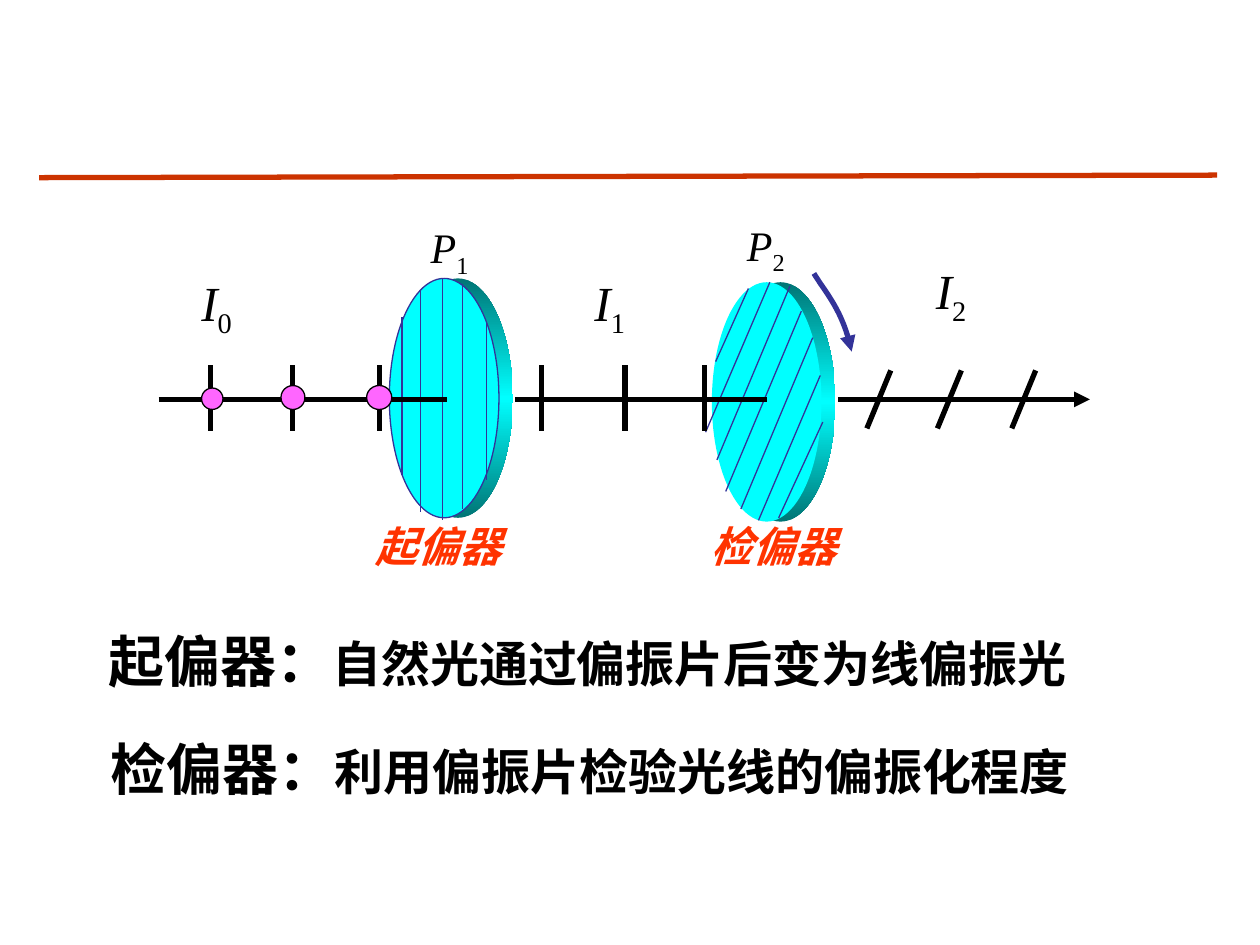
from copy import deepcopy

from lxml.etree import SubElement
from pptx import Presentation
from pptx.dml.color import RGBColor
from pptx.enum.shapes import MSO_CONNECTOR as CONNECTOR, MSO_SHAPE as SHAPE
from pptx.enum.text import MSO_AUTO_SIZE as AUTO_SIZE, PP_ALIGN as ALIGN
from pptx.oxml.ns import qn
from pptx.util import Inches, Pt

COLORS = {
    "ink": "000000", "navy": "333399", "plate": "00FFFF", "edge": "007575",
    "dot": "FF66FF", "label": "FF3300", "rule": "CC3300",
}
LATIN = "Times New Roman"
CHINESE = "TeX Gyre Bonum"
AXIS = 3.17


def color(name):
    return RGBColor.from_string(COLORS[name])


def style_line(line, name, width, arrow=False):
    line.color.rgb = color(name)
    line.width = Pt(width)
    if arrow:
        SubElement(line._get_or_add_ln(), qn("a:tailEnd"), type="triangle")


def add_line(page, start, end, name="ink", width=3, arrow=False):
    ends = [Inches(value) for value in (*start, *end)]
    connector = page.shapes.add_connector(CONNECTOR.STRAIGHT, *ends)
    style_line(connector.line, name, width, arrow)
    SubElement(connector._element.spPr, qn("a:effectLst"))


def add_ellipse(page, area, fill, outline=None):
    ellipse = page.shapes.add_shape(SHAPE.OVAL, *map(Inches, area))
    ellipse.shadow.inherit = False
    ellipse.fill.solid()
    ellipse.fill.fore_color.rgb = color(fill)
    if outline:
        style_line(ellipse.line, outline, 0.75)
    else:
        ellipse.line.fill.background()
    return ellipse


def shade_rim(ellipse):
    """Fill the rim dark at top and bottom, bright in the middle."""
    ellipse.fill.gradient()
    ellipse.fill.gradient_angle = 90
    stop_list = ellipse._element.spPr.find(qn("a:gradFill")).find(qn("a:gsLst"))
    stop_list.append(deepcopy(stop_list[0]))
    stops = zip(ellipse.fill.gradient_stops, (0, 0.5, 1), ("edge", "plate", "edge"))
    for stop, position, name in stops:
        stop.position = position
        stop.color.rgb = color(name)


def add_plate(page, left, top, outline, hatching):
    rim = add_ellipse(page, (left + 0.11, top, 0.87, 1.9), "plate")
    shade_rim(rim)
    add_ellipse(page, (left, top, 0.87, 1.9), "plate", outline)
    for start, end in hatching:
        add_line(page, start, end, "navy", 0.75)


def add_curved_arrow(page, p0, p1, p2, p3, steps=16):
    """Draw a cubic curve as short segments ending in an arrowhead."""
    points = []
    for step in range(steps + 1):
        t = step / steps
        weights = ((1 - t) ** 3, 3 * t * (1 - t) ** 2, 3 * t * t * (1 - t), t ** 3)
        points.append([Inches(sum(w * p[axis] for w, p in zip(weights, (p0, p1, p2, p3))))
                       for axis in (0, 1)])
    builder = page.shapes.build_freeform(*points[0])
    builder.add_line_segments(points[1:], close=False)
    curve = builder.convert_to_shape()
    curve.shadow.inherit = False
    curve.fill.background()
    style_line(curve.line, "navy", 3, arrow=True)


def add_box(page, area, wrap=True):
    box = page.shapes.add_textbox(*map(Inches, area))
    box.text_frame.word_wrap = wrap
    box.text_frame.auto_size = AUTO_SIZE.SHAPE_TO_FIT_TEXT
    return box.text_frame.paragraphs[0]


def add_span(para, text, size, font, name="ink", bold=False, italic=False):
    span = para.add_run()
    span.text = text
    span.font.size = Pt(size)
    span.font.bold = bold
    span.font.italic = italic
    span.font.color.rgb = color(name)
    span.font.name = font
    SubElement(span.font._element, qn("a:ea"), typeface=font)
    return span


def add_symbol(page, left, top, letter, index, size):
    para = add_box(page, (left, top, 0.5, size / 50 + 0.07), wrap=False)
    add_span(para, letter, size, LATIN, italic=True)
    subscript = add_span(para, index, size, LATIN)
    subscript.font._element.set("baseline", "-25000")


def add_plate_label(page, left, text):
    para = add_box(page, (left, 4.08, 1.9, 0.5))
    para.alignment = ALIGN.CENTER
    add_span(para, text, 24, CHINESE, "label", bold=True, italic=True)


def add_definition(page, left, top, width, hanging, term, meaning):
    para = add_box(page, (left, top, width, 0.63))
    properties = para._p.get_or_add_pPr()
    properties.set("marL", str(Inches(hanging)))
    properties.set("indent", str(-Inches(hanging)))
    add_span(para, term, 32, CHINESE, bold=True)
    add_span(para, meaning, 28, CHINESE, bold=True)


def add_ray(page, start, end, ticks, slant=0, top=2.9, bottom=3.42, arrow=False):
    add_line(page, (start, AXIS), (end, AXIS), arrow=arrow)
    for x in ticks:
        add_line(page, (x + slant, top), (x, bottom))


def main():
    deck = Presentation()
    deck.slide_width, deck.slide_height = Inches(10), Inches(7.5)
    page = deck.slides.add_slide(deck.slide_layouts[6])

    # Rule under the empty heading area
    add_line(page, (0.31, 1.41), (9.66, 1.39), "rule")

    # Analyser with slanted hatching and its turning arrow
    add_curved_arrow(page, (6.46, 2.17), (6.55, 2.32), (6.69, 2.46), (6.76, 2.79))
    add_plate(page, 5.65, 2.24, None, [
        ((5.94, 2.29), (5.68, 2.87)), ((6.11, 2.24), (5.6, 3.43)),
        ((6.27, 2.27), (5.69, 3.65)), ((6.36, 2.47), (5.76, 3.9)),
        ((6.45, 2.68), (5.88, 4.04)), ((6.51, 2.98), (6.02, 4.13)),
        ((6.53, 3.35), (6.18, 4.11)),
    ])

    # Polariser with vertical hatching
    hatches = [(3.19, 2.52, 3.77), (3.34, 2.31, 4.06), (3.51, 2.21, 4.13),
               (3.67, 2.25, 4.04), (3.86, 2.56, 3.81)]
    add_plate(page, 3.09, 2.21, "navy",
              [((x, top), (x, bottom)) for x, top, bottom in hatches])

    # Light before, between and after the plates
    add_ray(page, 1.26, 3.55, (1.67, 2.32, 3.01))
    for x, y, size in ((1.6, 3.08, 0.17), (2.23, 3.06, 0.19), (2.91, 3.06, 0.2)):
        add_ellipse(page, (x, y, size, min(size, 0.19)), "dot", "ink")
    add_ray(page, 4.09, 6.09, (4.3, 4.96, 5.59))
    add_ray(page, 6.65, 8.65, (6.88, 7.44, 8.03), 0.19, 2.94, 3.4, arrow=True)

    # Symbols and plate names
    for left, top, letter, index, size in (
            (3.32, 1.71, "P", "1", 24), (5.83, 1.69, "P", "2", 24),
            (1.5, 2.11, "I", "0", 28), (4.62, 2.11, "I", "1", 28),
            (7.33, 2.02, "I", "2", 28)):
        add_symbol(page, left, top, letter, index, size)
    add_plate_label(page, 2.53, "起偏器")
    add_plate_label(page, 5.19, "检偏器")

    # Definitions
    add_definition(page, 0.76, 4.92, 8.57, 1.76, "起偏器：", "自然光通过偏振片后变为线偏振光")
    add_definition(page, 0.78, 5.78, 8.47, 1.66, "检偏器：", "利用偏振片检验光线的偏振化程度")

    deck.save("out.pptx")


if __name__ == "__main__":
    main()
